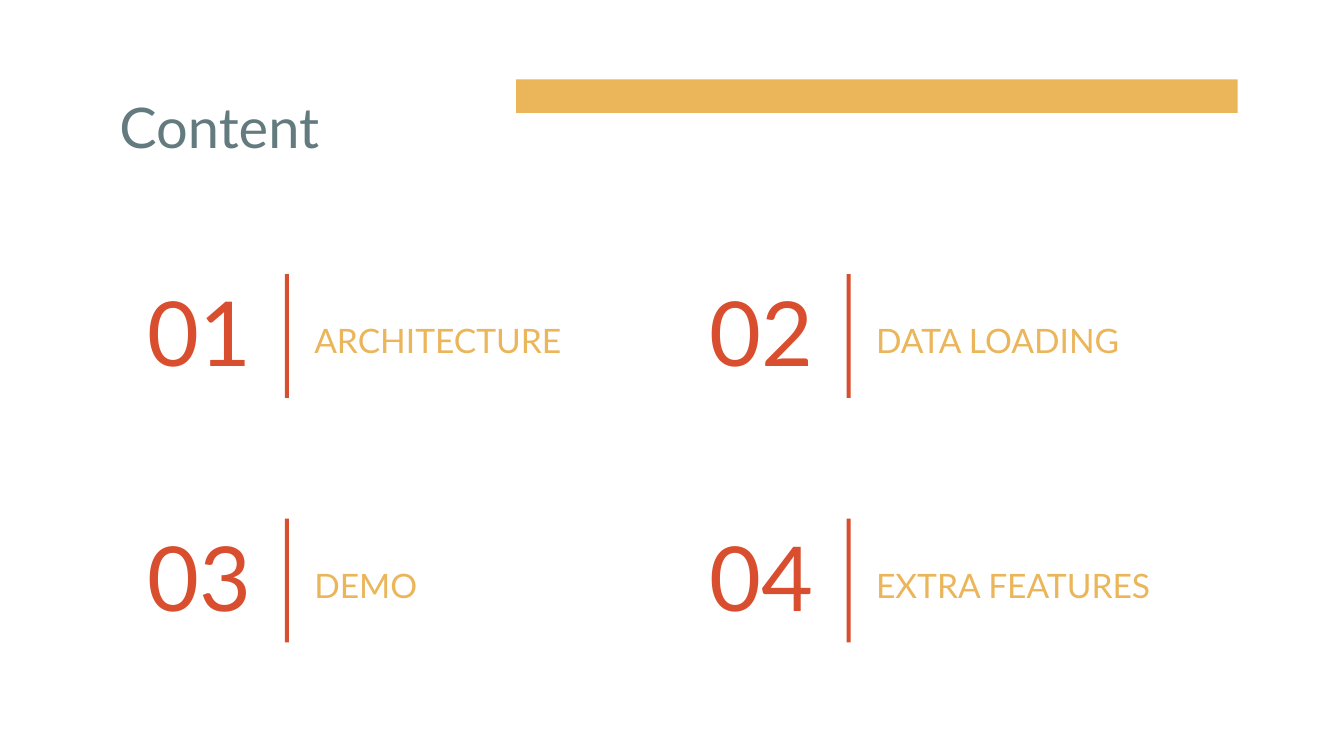
from dataclasses import dataclass

from pptx import Presentation
from pptx.dml.color import RGBColor
from pptx.enum.shapes import MSO_SHAPE
from pptx.enum.text import MSO_ANCHOR, PP_ALIGN
from pptx.slide import Slide
from pptx.util import Inches, Pt

RECT = MSO_SHAPE.RECTANGLE
TOP, BOTTOM = MSO_ANCHOR.TOP, MSO_ANCHOR.BOTTOM
LEFT, RIGHT = PP_ALIGN.LEFT, PP_ALIGN.RIGHT

GOLD = RGBColor(0xEB, 0xB5, 0x5A)
RED = RGBColor(0xD8, 0x4E, 0x2E)
SLATE = RGBColor(0x63, 0x7B, 0x7F)
FONT = "Lato"

WIDTH = 10
HEIGHT = WIDTH * 9 / 16
# Grid of topics: origin of the first cell, then the step to the next.
GRID_X, GRID_Y = 0.96, 2.04
STEP_X, STEP_Y = 4.18, 1.82
COLS = 2


@dataclass(frozen=True)
class Box:
    x: float
    y: float
    w: float
    h: float

    def shift(self, dx: float, dy: float) -> "Box":
        return Box(self.x + dx, self.y + dy, self.w, self.h)

    def lengths(self) -> list[int]:
        return [Inches(v) for v in (self.x, self.y, self.w, self.h)]


@dataclass(frozen=True)
class Style:
    size: int
    color: RGBColor
    align: PP_ALIGN = LEFT
    anchor: MSO_ANCHOR = TOP
    after: int = 0


HEAD = Style(30, SLATE)
NUMBER = Style(48, RED, RIGHT, BOTTOM)
LABEL = Style(18, GOLD, after=16)

# Parts of a topic, measured from the corner of its cell.
NUMBER_BOX = Box(0, 0, 1.01, 0.92)
RULE_BOX = Box(1.16, 0, 0.03, 0.92)
LABEL_BOX = Box(1.28, 0.24, 2.76, 0.37)

TOPICS = ("ARCHITECTURE", "DATA LOADING", "DEMO", "EXTRA FEATURES")


def add_block(slide: Slide, box: Box, color: RGBColor) -> None:
    block = slide.shapes.add_shape(RECT, *box.lengths())
    block.shadow.inherit = False
    block.fill.solid()
    block.fill.fore_color.rgb = color
    block.line.fill.background()


def add_text(slide: Slide, box: Box, text: str, style: Style) -> None:
    frame = slide.shapes.add_textbox(*box.lengths()).text_frame
    frame.word_wrap = True
    frame.vertical_anchor = style.anchor
    frame.margin_left = frame.margin_right = Inches(0.1)
    frame.margin_top = frame.margin_bottom = Inches(0.1)
    para = frame.paragraphs[0]
    para.alignment = style.align
    para.space_after = Pt(style.after)
    run = para.add_run()
    run.text = text
    run.font.name = FONT
    run.font.size = Pt(style.size)
    run.font.color.rgb = style.color


def add_topic(slide: Slide, index: int, label: str) -> None:
    """Draw number, rule and label in the grid cell of this index."""
    row, col = divmod(index, COLS)
    x, y = GRID_X + col * STEP_X, GRID_Y + row * STEP_Y
    add_text(slide, NUMBER_BOX.shift(x, y), f"{index + 1:02}", NUMBER)
    add_text(slide, LABEL_BOX.shift(x, y), label, LABEL)
    add_block(slide, RULE_BOX.shift(x, y), RED)


def main() -> None:
    deck = Presentation()
    deck.slide_width, deck.slide_height = Inches(WIDTH), Inches(HEIGHT)
    slide = deck.slides.add_slide(deck.slide_layouts[6])
    add_block(slide, Box(3.84, 0.59, 5.37, 0.25), GOLD)
    add_text(slide, Box(0.79, 0.59, 3.27, 0.63), "Content", HEAD)
    for index, label in enumerate(TOPICS):
        add_topic(slide, index, label)
    deck.save("out.pptx")


if __name__ == "__main__":
    main()
